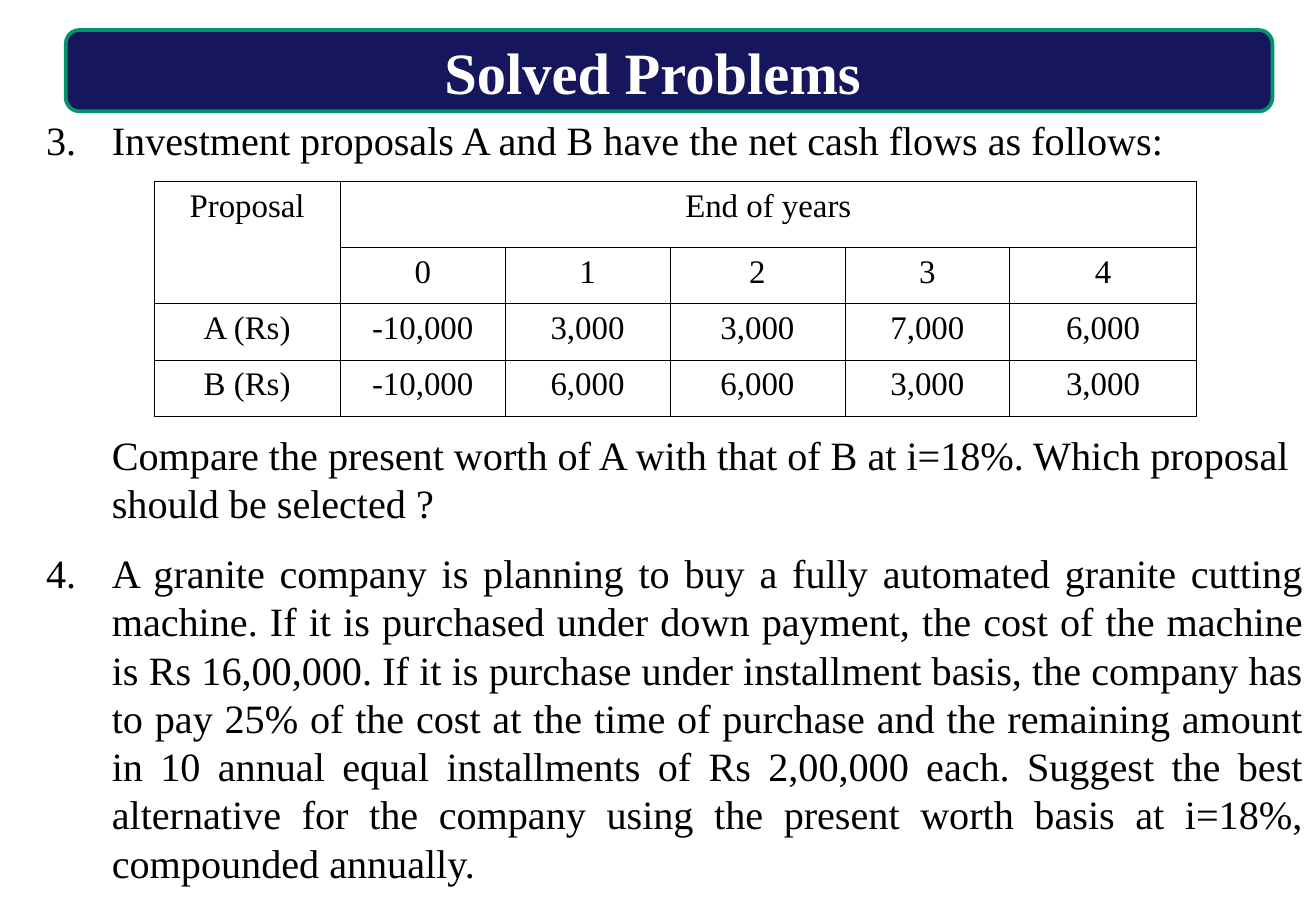
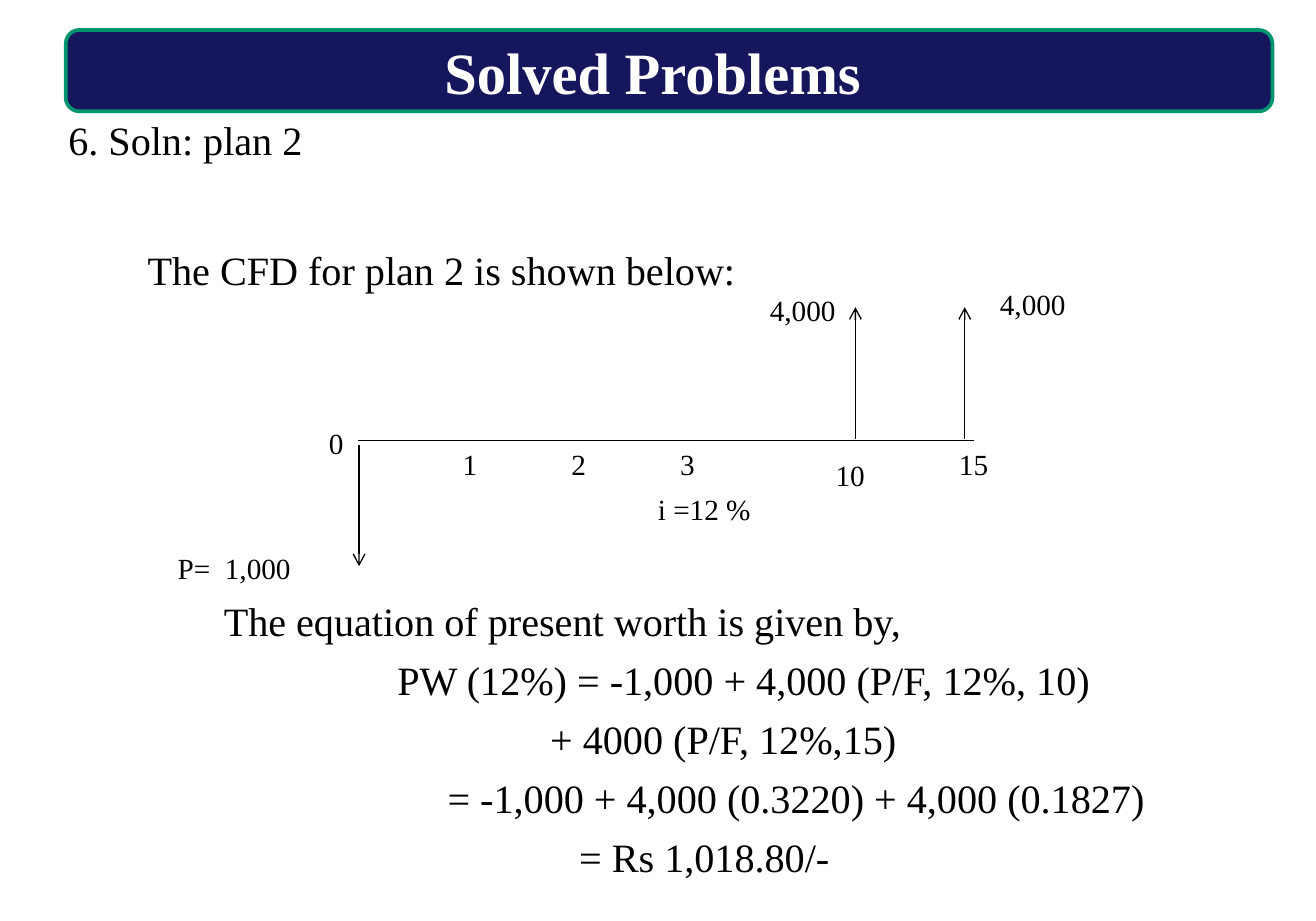
import dataclasses
import pptx
import pptx.util
import pptx.dml.color
import pptx.enum.shapes
import pptx.enum.text
import pptx.oxml.ns
import lxml.etree

Cm = pptx.util.Cm
Pt = pptx.util.Pt
Rgb = pptx.dml.color.RGBColor
Align = pptx.enum.text.PP_ALIGN
Anchor = pptx.enum.text.MSO_ANCHOR
qn = pptx.oxml.ns.qn


@dataclasses.dataclass(frozen=True)
class Theme:
    font: str = "Times New Roman"
    ink: Rgb = Rgb(0, 0, 0)
    navy: Rgb = Rgb(0x16, 0x16, 0x5D)
    green: Rgb = Rgb(0x00, 0x95, 0x6F)
    white: Rgb = Rgb(255, 255, 255)
    title: int = 32
    body: int = 22
    cell: int = 18
    label: int = 16
    pitch: float = 26.4
    rule: float = 0.75
    grid: float = 0.45


@dataclasses.dataclass
class Line:
    text: str
    left: float = 0
    number: int = 0
    before: float = 0
    after: float = 6
    align: Align = Align.LEFT


THEME = Theme()
BAND = (1.27, 0.58, 23.29, 1.57)
TITLE = (1.85, 0.58, 21.5, 1.57)
HANG = 1.27

FLOWS = [
    ["Proposal", "End of years", "", "", "", ""],
    ["", "0", "1", "2", "3", "4"],
    ["A (Rs)", "-10,000", "3,000", "3,000", "7,000", "6,000"],
    ["B (Rs)", "-10,000", "6,000", "6,000", "3,000", "3,000"],
]
COLS = [3.6, 3.18, 3.18, 3.38, 3.18, 3.6]
ROWS = [1.27, 1.09, 1.09, 1.09]

INTRO = [Line("Investment proposals A and B have the net cash flows as follows:", HANG, 3)]
TASKS = [
    Line("Compare the present worth of A with that of B at i=18%. "
         "Which proposal should be selected ?", HANG),
    Line("A granite company is planning to buy a fully automated granite cutting machine. "
         "If it is purchased under down payment, the cost of the machine is Rs 16,00,000. "
         "If it is purchase under installment basis, the company has to pay 25% of the cost "
         "at the time of purchase and the remaining amount in 10 annual equal installments "
         "of Rs 2,00,000 each. Suggest the best alternative for the company using the "
         "present worth basis at i=18%, compounded annually.",
         HANG, 4, before=6, align=Align.JUSTIFY),
]
PLAN = [
    Line("6. Soln: plan 2"),
    Line("The CFD for plan 2 is shown below:", 1.53, before=38.7),
]
WORTH = [
    Line("The equation of present worth is given by,", 3),
    Line("PW (12%) = -1,000 + 4,000 (P/F, 12%, 10)", 6.35),
    Line("+ 4000 (P/F, 12%,15)", 9.3),
    Line("= -1,000 + 4,000 (0.3220) + 4,000 (0.1827)", 7.32),
    Line("= Rs 1,018.80/-", 9.86),
]


def cms(box):
    return [Cm(size) for size in box]


def style(para, size, color=THEME.ink, bold=False):
    for run in para.runs:
        run.font.name = THEME.font
        run.font.size = Pt(size)
        run.font.color.rgb = color
        run.font.bold = bold


def frame(slide, box):
    text = slide.shapes.add_textbox(*cms(box)).text_frame
    text.word_wrap = True
    return text


def indent(para, line):
    props = para._p.get_or_add_pPr()
    props.set("marL", str(Cm(line.left)))
    props.set("indent", str(-Cm(HANG) if line.number else 0))
    if line.number:
        lxml.etree.SubElement(props, qn("a:buFont"), typeface="+mj-lt")
        lxml.etree.SubElement(props, qn("a:buAutoNum"),
                              type="arabicPeriod", startAt=str(line.number))


def block(slide, box, lines):
    text = frame(slide, box)
    for index, line in enumerate(lines):
        para = text.add_paragraph() if index else text.paragraphs[0]
        para.text = line.text
        indent(para, line)
        para.alignment = line.align
        para.line_spacing = Pt(THEME.pitch)
        para.space_before = Pt(line.before)
        para.space_after = Pt(line.after)
        style(para, THEME.body)


def label(slide, text, box):
    area = frame(slide, box)
    area.text = text
    style(area.paragraphs[0], THEME.label)


def rule(slide, start, end, arrow=False):
    line = slide.shapes.add_connector(
        pptx.enum.shapes.MSO_CONNECTOR.STRAIGHT, *cms(start + end))
    line.line.color.rgb = THEME.ink
    line.line.width = Pt(THEME.rule)
    if arrow:
        lxml.etree.SubElement(line.line._get_or_add_ln(), qn("a:tailEnd"), type="arrow")
    lxml.etree.SubElement(line._element.spPr, qn("a:effectLst"))


def header(slide, text):
    band = slide.shapes.add_shape(
        pptx.enum.shapes.MSO_SHAPE.ROUNDED_RECTANGLE, *cms(BAND))
    band.shadow.inherit = False
    band.fill.solid()
    band.fill.fore_color.rgb = THEME.navy
    band.line.color.rgb = THEME.green
    band.line.width = Pt(2)
    title = slide.shapes.title
    title._element.addprevious(band._element)
    title.left, title.top, title.width, title.height = cms(TITLE)
    title.text_frame.text = text
    title.text_frame.vertical_anchor = Anchor.MIDDLE
    para = title.text_frame.paragraphs[0]
    para.alignment = Align.CENTER
    style(para, THEME.title, THEME.white, True)


def border(cell):
    props = cell._tc.get_or_add_tcPr()
    for index, side in enumerate(("lnL", "lnR", "lnT", "lnB")):
        edge = lxml.etree.Element(qn("a:" + side), w=str(Pt(THEME.grid)))
        fill = lxml.etree.SubElement(edge, qn("a:solidFill"))
        lxml.etree.SubElement(fill, qn("a:srgbClr"), val=str(THEME.ink))
        props.insert(index, edge)


def grid(slide, left, top):
    box = (left, top, sum(COLS), sum(ROWS))
    table = slide.shapes.add_table(len(ROWS), len(COLS), *cms(box)).table
    table.first_row = table.horz_banding = False
    for col, width in zip(table.columns, COLS):
        col.width = Cm(width)
    for row, height, texts in zip(table.rows, ROWS, FLOWS):
        row.height = Cm(height)
        for cell, text in zip(row.cells, texts):
            cell.text = text
            cell.fill.background()
            border(cell)
            para = cell.text_frame.paragraphs[0]
            para.alignment = Align.CENTER
            style(para, THEME.cell)
    table.cell(0, 0).merge(table.cell(1, 0))
    table.cell(0, 1).merge(table.cell(0, 5))


def flow(slide, left, top):
    def at(x, y):
        return left + x, top + y

    axis = 3.1
    rule(slide, at(3.73, axis), at(15.62, axis))
    rule(slide, at(3.75, axis + 0.08), at(3.75, 5.52), True)
    for x in (13.33, 15.44):
        rule(slide, at(x, axis - 0.04), at(x, 0.52), True)
    marks = [
        ("0", 2.92, 2.68, 0.85),
        ("10", 12.7, 3.29, 1.2),
        ("15", 15.08, 3.08, 1.2),
        ("P=  1,000", 0, 5.09, 3),
        ("i =12 %", 9.27, 3.95, 2.5),
        ("4,000", 11.43, 0.1, 2.11),
        ("4,000", 15.87, 0, 2.11),
    ]
    marks += [(str(year), 3.4 + 2.1 * year, 3.08, 0.85) for year in (1, 2, 3)]
    for text, x, y, width in marks:
        label(slide, text, at(x, y) + (width, 0.94))


def add(deck):
    slide = deck.slides.add_slide(deck.slide_layouts[5])
    header(slide, "Solved Problems")
    return slide


def asks(deck):
    slide = add(deck)
    block(slide, (0.64, 2.11, 24.76, 1.3), INTRO)
    grid(slide, 2.97, 3.5)
    block(slide, (0.64, 8.18, 24.76, 9), TASKS)


def solve(deck):
    slide = add(deck)
    block(slide, (1.07, 2.11, 24.33, 3.5), PLAN)
    flow(slide, 3.18, 5.41)
    block(slide, (1.07, 11.38, 24.33, 6), WORTH)


def main():
    deck = pptx.Presentation()
    deck.slide_width, deck.slide_height = Cm(25.4), Cm(17.78)
    asks(deck)
    solve(deck)
    deck.save("out.pptx")


if __name__ == "__main__":
    main()
